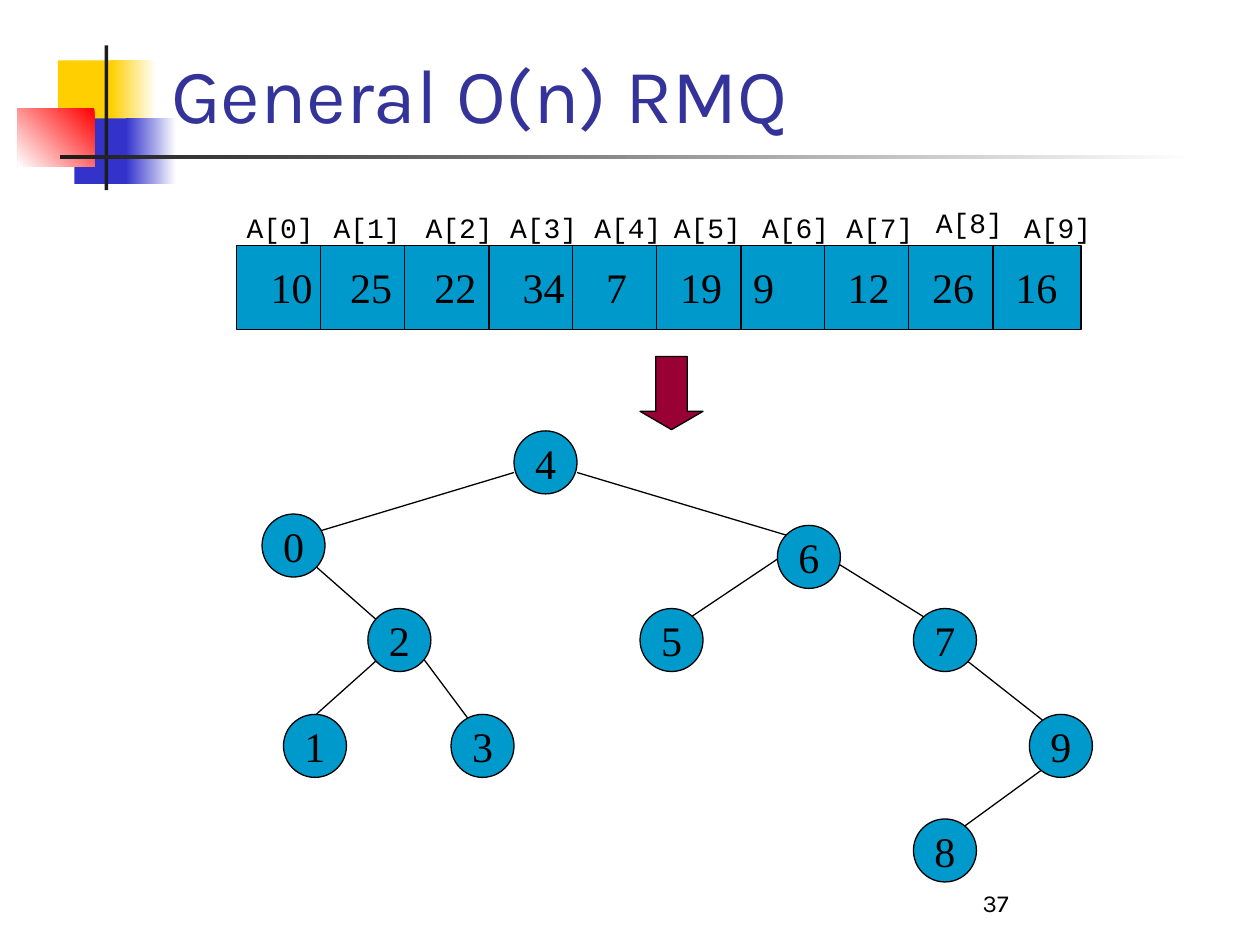
from pptx import Presentation
from pptx.dml.color import RGBColor
from pptx.enum.shapes import MSO_CONNECTOR, MSO_SHAPE
from pptx.enum.text import MSO_ANCHOR, PP_ALIGN
from pptx.oxml import parse_xml
from pptx.oxml.ns import nsdecls
from pptx.util import Inches, Pt


def color(hex_code):
    return RGBColor.from_string(hex_code)


def write(frame, text, font="Times New Roman", size=24, ink="000000",
          align=PP_ALIGN.LEFT, anchor=MSO_ANCHOR.TOP, wrap=True):
    frame.word_wrap = wrap
    frame.vertical_anchor = anchor
    paragraph = frame.paragraphs[0]
    paragraph.alignment = align
    run = paragraph.add_run()
    run.text = text
    run.font.name = font
    run.font.size = Pt(size)
    run.font.color.rgb = color(ink)


class Board:
    """Hold the drawing style and the slide being filled."""

    ink = "000000"
    blue = "0099CC"
    stroke = Pt(0.74)

    def __init__(self, slide):
        self.slide = slide

    def shape(self, kind, left, top, width, height, fill, outlined=True):
        item = self.slide.shapes.add_shape(
            kind, Inches(left), Inches(top), Inches(width), Inches(height))
        item.shadow.inherit = False
        if isinstance(fill, str):
            item.fill.solid()
            item.fill.fore_color.rgb = color(fill)
        else:
            start, end, angle = fill
            item.fill.gradient()
            item.fill.gradient_angle = angle
            for stop, shade in zip(item.fill.gradient_stops, (start, end)):
                stop.color.rgb = color(shade)
        if outlined:
            item.line.color.rgb = color(self.ink)
            item.line.width = self.stroke
        else:
            item.line.fill.background()
        return item

    def line(self, x1, y1, x2, y2):
        item = self.slide.shapes.add_connector(
            MSO_CONNECTOR.STRAIGHT, Inches(x1), Inches(y1), Inches(x2), Inches(y2))
        item.line.color.rgb = color(self.ink)
        item.line.width = self.stroke
        item._element.spPr.append(parse_xml(f"<a:effectLst {nsdecls('a')}/>"))

    def text(self, text, left, top, width, height, **style):
        box = self.slide.shapes.add_textbox(
            Inches(left), Inches(top), Inches(width), Inches(height))
        write(box.text_frame, text, **style)

    def node(self, label, left, top):
        circle = self.shape(MSO_SHAPE.OVAL, left, top, 0.5, 0.5, self.blue)
        write(circle.text_frame, label, align=PP_ALIGN.CENTER,
              anchor=MSO_ANCHOR.MIDDLE, wrap=False)


deck = Presentation()
deck.slide_width, deck.slide_height = Inches(10), Inches(7.5)
board = Board(deck.slides.add_slide(deck.slide_layouts[6]))

ornament = [
    (0.46, 0.48, 0.48, 0.52, "FFCF01"),
    (0.88, 0.48, 0.36, 0.52, ("FFFFFF", "FFCF01", 180)),
    (0.59, 0.94, 0.46, 0.52, "3333CC"),
    (1.0, 0.94, 0.4, 0.52, ("FFFFFF", "3333CC", 180)),
    (0.14, 0.86, 0.61, 0.46, ("FF0000", "FFFFFF", 225)),
    (0.83, 0.36, 0.03, 1.15, "1C1C1C"),
    (0.48, 1.23, 9, 0.03, ("FFFFFF", "1C1C1C", 180)),
]
for block in ornament:
    board.shape(MSO_SHAPE.RECTANGLE, *block, outlined=False)

board.text("General O(n) RMQ", 1.26, 0.23, 8.52, 0.92,
           font="Karla", size=44, ink="333399", anchor=MSO_ANCHOR.BOTTOM)

array_left, array_top, cell = 1.88, 1.95, 2 / 3
board.shape(MSO_SHAPE.RECTANGLE, array_left, array_top, 6.7, cell, board.blue)
for index in range(1, 10):
    divider = array_left + index * cell
    board.line(divider, array_top, divider, array_top + cell)

values = [("10", 2.05), ("25", 2.68), ("22", 3.35), ("34", 4.05), (" 7", 4.63),
          ("19", 5.3), ("9", 5.88), ("12", 6.63), ("26", 7.3), ("16", 7.96)]
for value, left in values:
    board.text(value, left, 2.03, 0.7, 0.5)

index_lefts = [1.86, 2.55, 3.28, 3.95, 4.62, 5.25, 5.95, 6.62, 7.33, 8.03]
for index, left in enumerate(index_lefts):
    top = 1.58 if index == 8 else 1.62
    board.text(f"A[{index}]", left, top, 0.87, 0.37, font="Courier New", size=16)

arrow = board.shape(MSO_SHAPE.DOWN_ARROW, 5.08, 2.83, 0.5, 0.58, "990033")
arrow.adjustments[0], arrow.adjustments[1] = 0.5, 0.29

tree_edges = [
    (4.08, 3.75, 2.42, 4.25), (4.58, 3.75, 6.25, 4.25),
    (2.42, 4.42, 3.08, 5), (3.17, 5.08, 2.42, 5.75), (3.25, 5.08, 3.75, 5.75),
    (6.33, 4.33, 5.33, 5), (6.42, 4.33, 7.5, 5),
    (7.58, 5.17, 8.42, 5.83), (8.42, 6, 7.5, 6.67),
]
for edge in tree_edges:
    board.line(*edge)

tree_nodes = [
    ("4", 4.08, 3.42), ("0", 2.08, 4.08), ("6", 6.17, 4.17),
    ("2", 2.92, 4.83), ("5", 5.08, 4.83), ("7", 7.25, 4.83),
    ("1", 2.25, 5.67), ("3", 3.58, 5.67), ("9", 8.17, 5.67), ("8", 7.25, 6.5),
]
for node in tree_nodes:
    board.node(*node)

board.text("37", 7.7, 6.83, 2.08, 0.5,
           font="Karla", size=14, anchor=MSO_ANCHOR.BOTTOM)

deck.save("out.pptx")
